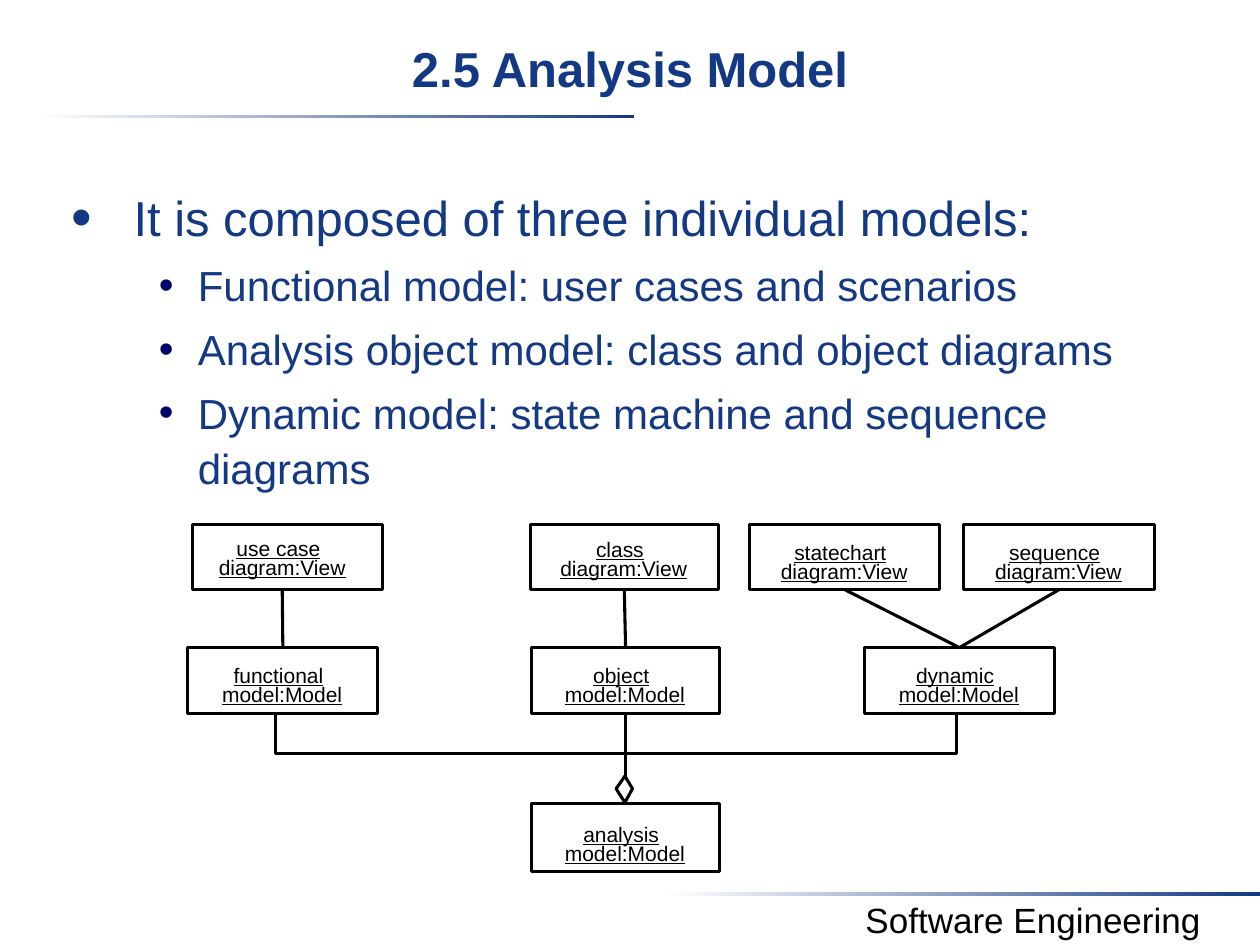
import pptx
import pptx.util
import pptx.dml.color
import pptx.enum.shapes
import pptx.enum.text
import pptx.oxml.ns
from lxml import etree

IN = pptx.util.Inches
PT = pptx.util.Pt
ALIGN = pptx.enum.text.PP_ALIGN
ANCHOR = pptx.enum.text.MSO_ANCHOR
SHAPE = pptx.enum.shapes.MSO_SHAPE
W, H = 10, 7.5
FONT = "Arial"
COLORS = {"navy": "133984", "bullet": "000066", "ink": "000000", "paper": "FFFFFF"}

# Content
TITLE = "2.5 Analysis Model"
FOOTER = "Software Engineering"
BULLETS = [
    (0, "It is composed of three individual models:"),
    (1, "Functional model: user cases and scenarios"),
    (1, "Analysis object model: class and object diagrams"),
    (1, "Dynamic model: state machine and sequence diagrams"),
]
# level -> size, left margin, hanging indent, space before, bullet colour, bullet %
LEVELS = {0: (28, 0.49, -0.49, 0, "navy", 120),
          1: (24, 1, -0.31, 4.8, "bullet", 100)}

# Diagram rows: top, height; nodes: row, left, width, label centre, label drop
ROWS = {"view": (4.16, 0.52), "model": (5.14, 0.52), "result": (6.38, 0.54)}
SECOND = {"view": "diagram:View", "model": "model:Model", "result": "model:Model"}
NODES = {
    "use case": ("view", 1.53, 1.51, 2.24, 0.09),
    "class": ("view", 4.21, 1.49, 4.95, 0.1),
    "statechart": ("view", 5.95, 1.51, 6.7, 0.12),
    "sequence": ("view", 7.65, 1.51, 8.4, 0.12),
    "functional": ("model", 1.49, 1.51, 2.24, 0.12),
    "object": ("model", 4.22, 1.49, 4.96, 0.12),
    "dynamic": ("model", 6.86, 1.51, 7.61, 0.12),
    "analysis": ("result", 4.22, 1.49, 4.96, 0.14),
}
LINKS = [("class", "object"), ("statechart", "dynamic"),
         ("sequence", "dynamic"), ("object", "analysis")]
LABEL_W, LABEL_H, LABEL_STEP = 1.02, 0.2, 0.15
STEM_X, BUS_Y, MODEL_BOTTOM = 4.96, 5.98, 5.66


def rgb(name):
    return pptx.dml.color.RGBColor.from_string(COLORS[name])


def write(p, text, size=12, color="ink", bold=False, underline=False,
          align=ALIGN.CENTER, spacing=None, before=0):
    p.alignment = align
    p.space_before = PT(before)
    if spacing:
        p.line_spacing = spacing
    r = p.add_run()
    r.text = text
    f = r.font
    f.name, f.size, f.bold, f.underline = FONT, PT(size), bold, underline
    f.color.rgb = rgb(color)


def place(sp, x, y, w, h):
    sp.left, sp.top, sp.width, sp.height = IN(x), IN(y), IN(w), IN(h)


def add_text(shapes, text, x, y, w, h, inset=0, wrap=False, **fmt):
    tf = shapes.add_textbox(IN(x), IN(y), IN(w), IN(h)).text_frame
    tf.word_wrap = wrap
    tf.margin_left = tf.margin_right = IN(inset * 2)
    tf.margin_top = tf.margin_bottom = IN(inset)
    write(tf.paragraphs[0], text, **fmt)


def outline(sp, fill="paper"):
    sp.shadow.inherit = False
    if fill:
        sp.fill.solid()
        sp.fill.fore_color.rgb = rgb(fill)
    else:
        sp.fill.background()
    sp.line.color.rgb = rgb("ink")
    sp.line.width = PT(1.75)


def add_rule(shapes, x, y):
    sp = shapes.add_shape(SHAPE.RECTANGLE, IN(x), IN(y), IN(4.72), IN(0.03))
    sp.shadow.inherit = False
    sp.line.fill.background()
    sp.fill.gradient()
    sp.fill.gradient_angle = 0
    for stop, color in zip(sp.fill.gradient_stops, ("paper", "navy")):
        stop.color.rgb = rgb(color)


def add_bullet(p, left, indent, color, percent):
    pPr = p._p.get_or_add_pPr()
    pPr.set("marL", str(IN(left)))
    pPr.set("indent", str(IN(indent)))
    qn = pptx.oxml.ns.qn
    clr = etree.SubElement(pPr, qn("a:buClr"))
    etree.SubElement(clr, qn("a:srgbClr"), val=COLORS[color])
    etree.SubElement(pPr, qn("a:buSzPct"), val=str(percent * 1000))
    etree.SubElement(pPr, qn("a:buFont"), typeface=FONT)
    etree.SubElement(pPr, qn("a:buChar"), char="•")


def add_line(shapes, x1, y1, x2, y2):
    line = shapes.add_connector(pptx.enum.shapes.MSO_CONNECTOR.STRAIGHT,
                                IN(x1), IN(y1), IN(x2), IN(y2))
    line.line.color.rgb = rgb("ink")
    line.line.width = PT(1.75)
    etree.SubElement(line._element.spPr, pptx.oxml.ns.qn("a:effectLst"))
    return line


def add_path(shapes, points, close=False, fill=None):
    pts = [(IN(x), IN(y)) for x, y in points]
    builder = shapes.build_freeform(*pts[0])
    builder.add_line_segments(pts[1:], close=close)
    outline(builder.convert_to_shape(), fill)


def main():
    prs = pptx.Presentation()
    prs.slide_width, prs.slide_height = IN(W), IN(H)
    slide = prs.slides.add_slide(prs.slide_layouts[1])
    shapes = slide.shapes

    # Rules and footer
    add_rule(shapes, 0.31, 0.91)
    add_rule(shapes, W - 4.72, 7.08)
    add_text(shapes, FOOTER, 6.4, 7.08, 3.6, 0.44, inset=0.05, wrap=True, size=20)

    # Title
    place(shapes.title, 0, 0.2, W, 0.75)
    tf = shapes.title.text_frame
    tf.auto_size = pptx.enum.text.MSO_AUTO_SIZE.NONE
    tf.vertical_anchor = ANCHOR.TOP
    tf.margin_top = IN(0.06)
    write(tf.paragraphs[0], TITLE, size=28, color="navy", bold=True, spacing=1.1)

    # Bulleted list
    body = slide.placeholders[1]
    place(body, 0.47, 1.39, 9, 5.54)
    tf = body.text_frame
    tf.auto_size = pptx.enum.text.MSO_AUTO_SIZE.NONE
    for i, (level, text) in enumerate(BULLETS):
        p = tf.add_paragraph() if i else tf.paragraphs[0]
        size, left, indent, before, color, percent = LEVELS[level]
        p.level = level
        add_bullet(p, left, indent, color, percent)
        write(p, text, size=size, color="navy", align=ALIGN.LEFT,
              spacing=1.1, before=before)

    # Diagram boxes with two-line labels
    boxes = {}
    for name, (row, left, width, centre, drop) in NODES.items():
        top, height = ROWS[row]
        sp = shapes.add_shape(SHAPE.RECTANGLE, IN(left), IN(top), IN(width), IN(height))
        outline(sp)
        boxes[name] = sp
        for i, (text, shift) in enumerate([(name, -0.03), (SECOND[row], 0)]):
            add_text(shapes, text, centre + shift - LABEL_W / 2,
                     top + drop + i * LABEL_STEP, LABEL_W, LABEL_H, underline=True)

    # Links between boxes
    for upper, lower in LINKS:
        line = add_line(shapes, 0, 0, 1, 1)
        line.begin_connect(boxes[upper], 2)
        line.end_connect(boxes[lower], 0)
    line = add_line(shapes, 2.24, 4.67, 2.24, 5.14)
    line.end_connect(boxes["functional"], 0)

    # Aggregation bus and diamond
    for x in (2.19, 7.59):
        add_path(shapes, [(4.81, BUS_Y), (x, BUS_Y), (x, MODEL_BOTTOM)])
    add_path(shapes, [(STEM_X + 0.06, 6.26), (STEM_X, 6.37),
                      (STEM_X - 0.07, 6.26), (STEM_X, 6.16)], close=True, fill="paper")

    prs.save("out.pptx")


if __name__ == "__main__":
    main()
